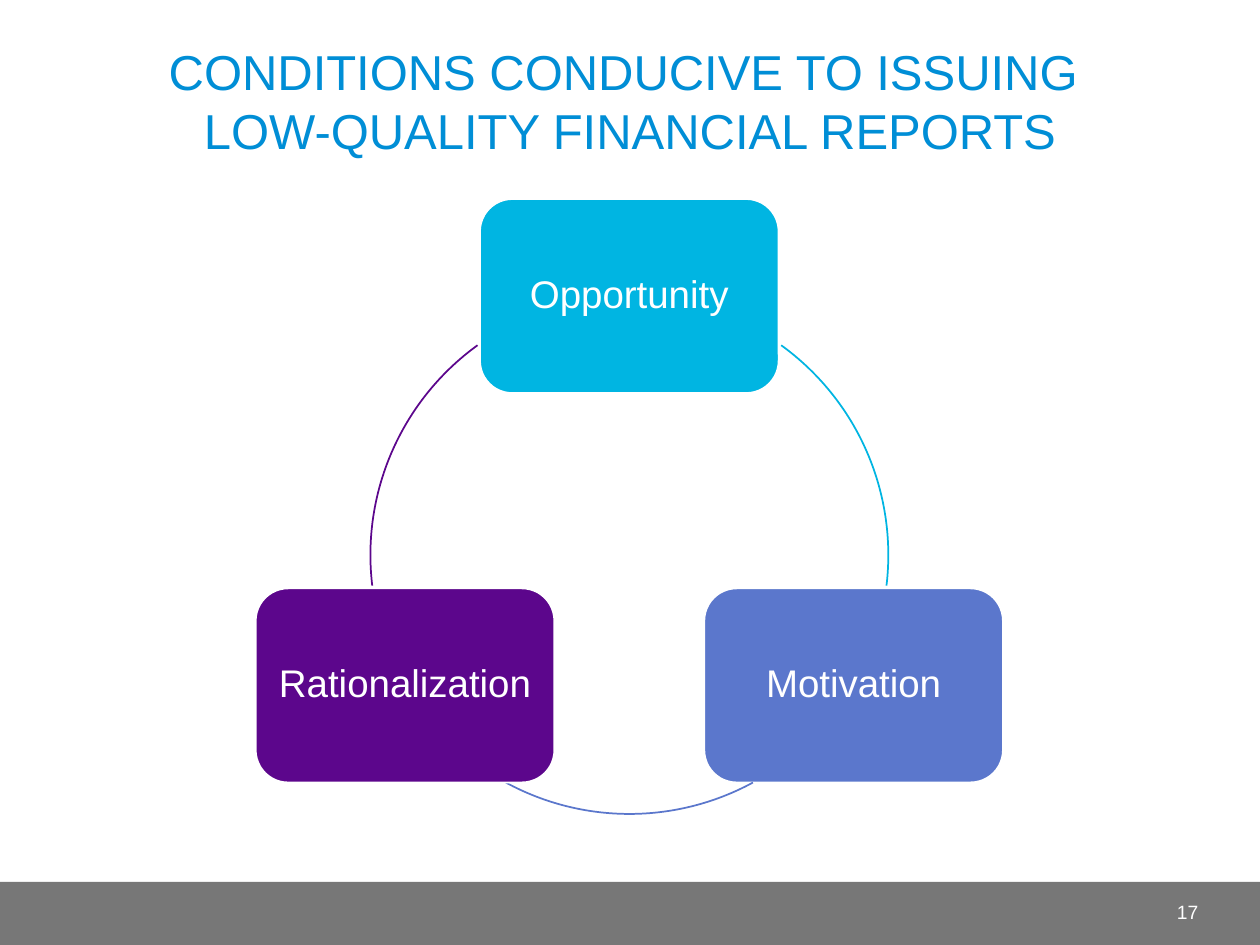
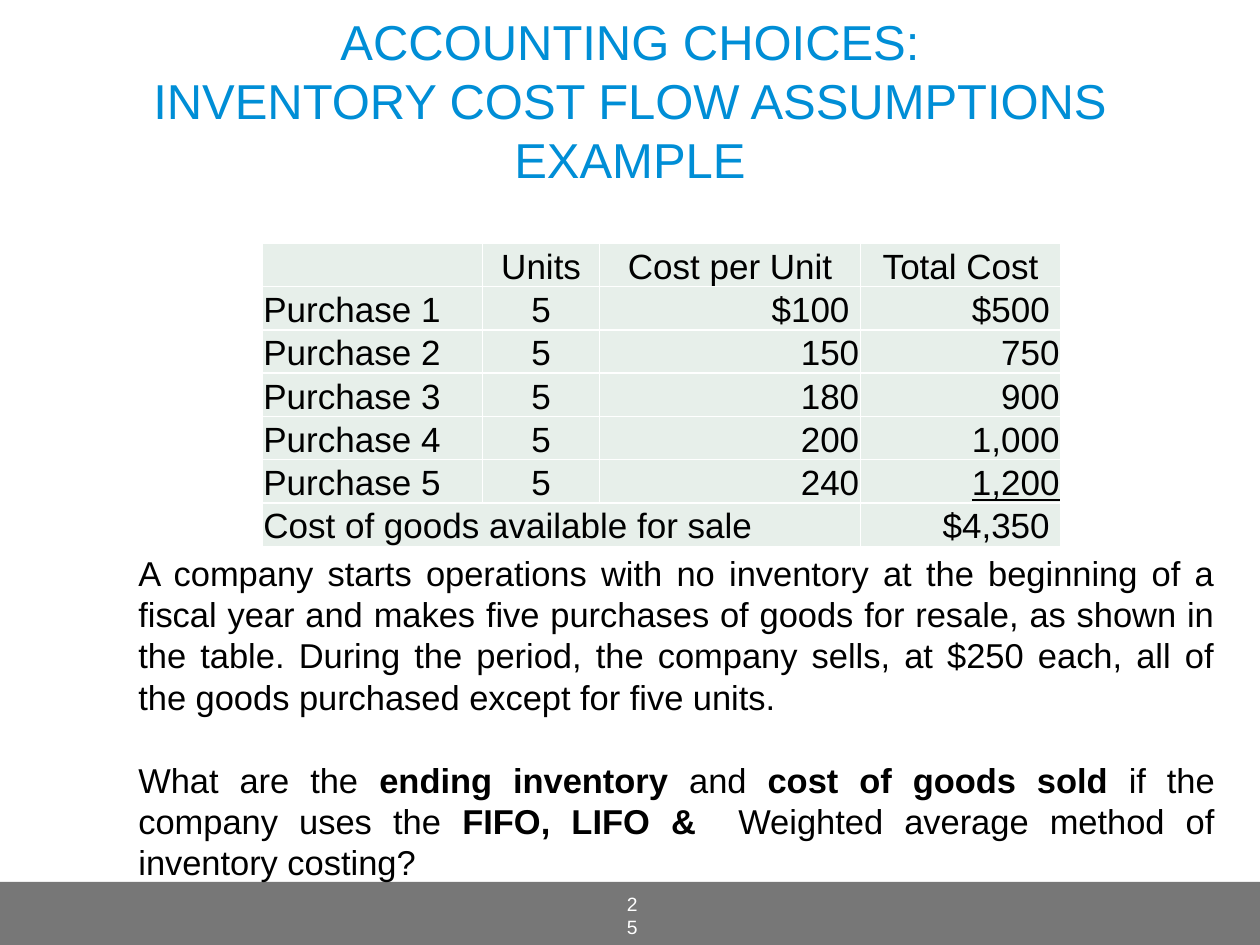
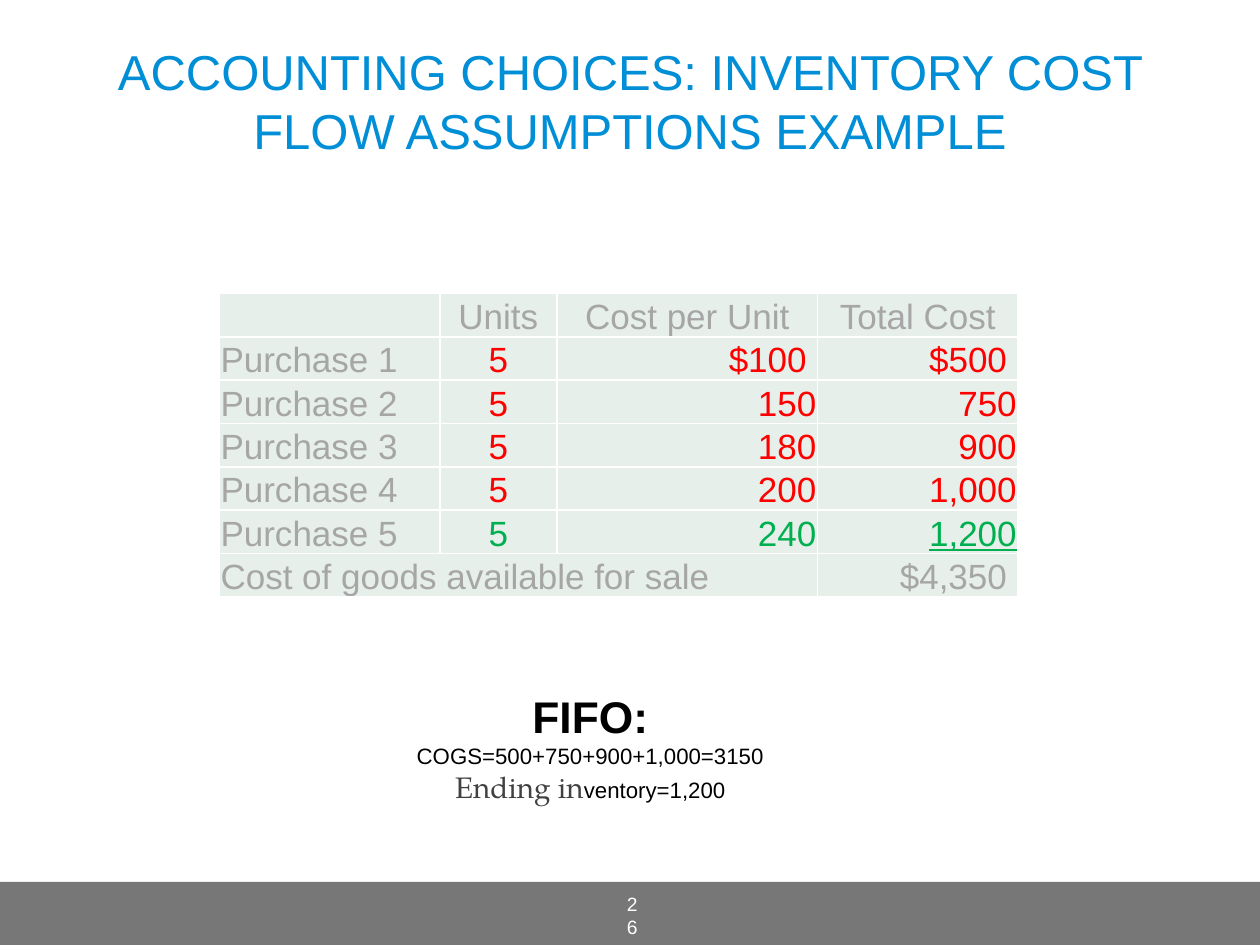
from pptx import Presentation
from pptx.util import Inches, Pt
from pptx.dml.color import RGBColor
from pptx.enum.shapes import MSO_SHAPE
from pptx.enum.text import MSO_ANCHOR, PP_ALIGN
from pptx.oxml import parse_xml
from pptx.oxml.ns import nsdecls

TITLE_BLUE = RGBColor(0x00, 0x8E, 0xD6)
BAND_GRAY = RGBColor(0x77, 0x77, 0x77)
WHITE = RGBColor(0xFF, 0xFF, 0xFF)
BLACK = RGBColor(0x00, 0x00, 0x00)
CYAN = RGBColor(0x00, 0xB5, 0xE2)
PERIWINKLE = RGBColor(0x5B, 0x77, 0xCC)
PURPLE = RGBColor(0x5C, 0x06, 0x8C)
CELL_GREEN = RGBColor(0xE7, 0xEF, 0xEA)
MUTED = RGBColor(0xA6, 0xA6, 0xA6)
RED = RGBColor(0xFF, 0x00, 0x00)
GREEN = RGBColor(0x00, 0xB0, 0x50)
CHARCOAL = RGBColor(0x41, 0x41, 0x41)

prs = Presentation()
prs.slide_width, prs.slide_height = Inches(10), Inches(7.5)


def add_run(p, text, size, color, bold=False, font="Arial"):
    r = p.add_run()
    r.text = text
    r.font.name, r.font.size, r.font.bold = font, Pt(size), bold
    r.font.color.rgb = color
    return r


def add_slide(title_lines, number, number_box, number_inset):
    s = prs.slides.add_slide(prs.slide_layouts[6])
    # Footer band
    band = s.shapes.add_shape(MSO_SHAPE.RECTANGLE, 0, Inches(7), Inches(10), Inches(0.5))
    band.shadow.inherit = False
    band.fill.solid()
    band.fill.fore_color.rgb = BAND_GRAY
    band.line.fill.background()
    # Title
    tf = s.shapes.add_textbox(Inches(0.42), Inches(0.17), Inches(9.16), Inches(1.25)).text_frame
    tf.word_wrap = True
    tf.vertical_anchor = MSO_ANCHOR.MIDDLE
    p = tf.paragraphs[0]
    p.alignment = PP_ALIGN.CENTER
    for i, line in enumerate(title_lines):
        if i:
            p.add_line_break()
        add_run(p, line, 28, TITLE_BLUE)
    # Slide number
    tf = s.shapes.add_textbox(*[Inches(v) for v in number_box]).text_frame
    tf.word_wrap = True
    tf.vertical_anchor = MSO_ANCHOR.MIDDLE
    tf.margin_left = tf.margin_right = Inches(number_inset)
    p = tf.paragraphs[0]
    p.alignment = PP_ALIGN.RIGHT
    add_run(p, number, 11, WHITE)
    return s


# Slide 1: cycle of three conditions
s = add_slide(["CONDITIONS CONDUCIVE TO ISSUING ", "LOW-QUALITY FINANCIAL REPORTS"],
              "17", (8.75, 7.04, 0.86, 0.4), 0.1)
conditions = [  # name, colour, left, top, arc start and end in degrees
    ("Opportunity", CYAN, 3.81, 1.58, 305.9, 6.8),
    ("Motivation", PERIWINKLE, 5.59, 4.67, 61.5, 118.5),
    ("Rationalization", PURPLE, 2.03, 4.67, 173.2, 234.1),
]
for name, color, left, top, start, end in conditions:
    card = s.shapes.add_shape(MSO_SHAPE.ROUNDED_RECTANGLE, Inches(left), Inches(top),
                              Inches(2.37), Inches(1.54))
    card.shadow.inherit = False
    card.fill.solid()
    card.fill.fore_color.rgb = color
    card.line.color.rgb = WHITE
    card.line.width = Pt(1)
    tf = card.text_frame
    tf.word_wrap = True
    tf.vertical_anchor = MSO_ANCHOR.MIDDLE
    tf.margin_left = tf.margin_right = tf.margin_top = tf.margin_bottom = Inches(0.09)
    p = tf.paragraphs[0]
    p.alignment = PP_ALIGN.CENTER
    p.line_spacing = 0.9
    add_run(p, name, 22, WHITE)

    arc = s.shapes.add_shape(MSO_SHAPE.ARC, Inches(2.94), Inches(2.35), Inches(4.11), Inches(4.11))
    arc.shadow.inherit = False
    arc.fill.background()
    arc.line.color.rgb = color
    arc.line.width = Pt(1)
    # Arc angles are stored in 60000ths of a degree, adjustments in 100000ths
    arc.adjustments[0], arc.adjustments[1] = start * 0.6, end * 0.6

# Slides 2 and 3: titles
number_box = (4.91, 7.12, 0.17, 0.29)
question = add_slide(["ACCOUNTING CHOICES:", "INVENTORY COST FLOW ASSUMPTIONS EXAMPLE"],
                     "25", number_box, 0.02)
answer = add_slide(["ACCOUNTING CHOICES: INVENTORY COST FLOW ASSUMPTIONS EXAMPLE"],
                   "26", number_box, 0.02)

# Slides 2 and 3: purchases table, with colours for labels, sold and unsold units
purchases = [
    ("", "Units", "Cost per Unit", "Total Cost"),
    ("Purchase 1", "5", "$100 ", "$500 "),
    ("Purchase 2", "5", "150", "750"),
    ("Purchase 3", "5", "180", "900"),
    ("Purchase 4", "5", "200", "1,000"),
    ("Purchase 5", "5", "240", "1,200"),
    ("Cost of goods available for sale", "", "", "$4,350 "),
]
column_widths = [1.75, 0.93, 2.07, 1.59]
column_aligns = [PP_ALIGN.LEFT, PP_ALIGN.CENTER, PP_ALIGN.RIGHT, PP_ALIGN.RIGHT]
last = len(purchases) - 1
for s, left, top, label_color, sold_color, unsold_color in [
        (question, 2.08, 1.93, BLACK, BLACK, BLACK),
        (answer, 1.74, 2.33, MUTED, RED, GREEN)]:
    table = s.shapes.add_table(len(purchases), 4, Inches(left), Inches(top),
                               Inches(6.34), Inches(2.38)).table
    table.first_row = table.horz_banding = False
    for column, width in zip(table.columns, column_widths):
        column.width = Inches(width)
    table.cell(last, 0).merge(table.cell(last, 2))
    for i, row in enumerate(purchases):
        table.rows[i].height = Inches(0.34)
        for j, text in enumerate(row):
            cell = table.cell(i, j)
            cell.margin_left = cell.margin_right = cell.margin_top = Inches(0.01)
            cell.margin_bottom = 0
            cell.vertical_anchor = MSO_ANCHOR.BOTTOM
            tcPr = cell._tc.get_or_add_tcPr()
            for side in ("lnL", "lnR", "lnT", "lnB"):
                tcPr.append(parse_xml(
                    f'<a:{side} {nsdecls("a")} w="12700"><a:solidFill>'
                    f'<a:srgbClr val="{WHITE}"/></a:solidFill></a:{side}>'))
            cell.fill.solid()
            cell.fill.fore_color.rgb = CELL_GREEN
            if not text:
                continue
            if j == 0 or i in (0, last):
                color = label_color
            else:
                color = unsold_color if i == last - 1 else sold_color
            p = cell.text_frame.paragraphs[0]
            p.alignment = PP_ALIGN.CENTER if i == 0 else column_aligns[j]
            r = add_run(p, text, 20, color)
            if (i, j) == (last - 1, 3):
                r.font.underline = True

# Slide 2: the case and its question
tf = question.shapes.add_textbox(Inches(1), Inches(4.33), Inches(8.74), Inches(2.75)).text_frame
tf.word_wrap = True
case_paragraphs = [
    [("A company starts operations with no inventory at the beginning of a fiscal year and makes "
      "five purchases of goods for resale, as shown in the table. During the period, the company "
      "sells, at $250 each, all of the goods purchased except for five units. ", False)],
    [("What are the ", False), ("ending inventory ", True), ("and ", False),
     ("cost of goods sold", True), (" if the company uses the ", False), ("FIFO, LIFO & ", True),
     (" Weighted average method of inventory costing?", False)],
]
for i, runs in enumerate(case_paragraphs):
    p = tf.add_paragraph() if i else tf.paragraphs[0]
    p.alignment = PP_ALIGN.JUSTIFY
    p.space_before = Pt(23.6 * i)
    for text, bold in runs:
        add_run(p, text, 19.7, BLACK, bold)

# Slide 3: FIFO result
tf = answer.shapes.add_textbox(Inches(1.76), Inches(5.43), Inches(5.85), Inches(1)).text_frame
tf.word_wrap = True
tf.vertical_anchor = MSO_ANCHOR.MIDDLE
tf.margin_left = tf.margin_right = tf.margin_top = tf.margin_bottom = Inches(0.04)
fifo_lines = [
    [("FIFO:", 25.3, BLACK, True)],
    [("COGS=500+750+900+1,000=3150", 12.7, BLACK)],
    [("Ending in", 16.9, CHARCOAL, False, "TeX Gyre Pagella"), ("ventory=1,200", 12.7, BLACK)],
]
for i, runs in enumerate(fifo_lines):
    p = tf.add_paragraph() if i else tf.paragraphs[0]
    p.alignment = PP_ALIGN.CENTER
    for run in runs:
        add_run(p, *run)

prs.save("out.pptx")
